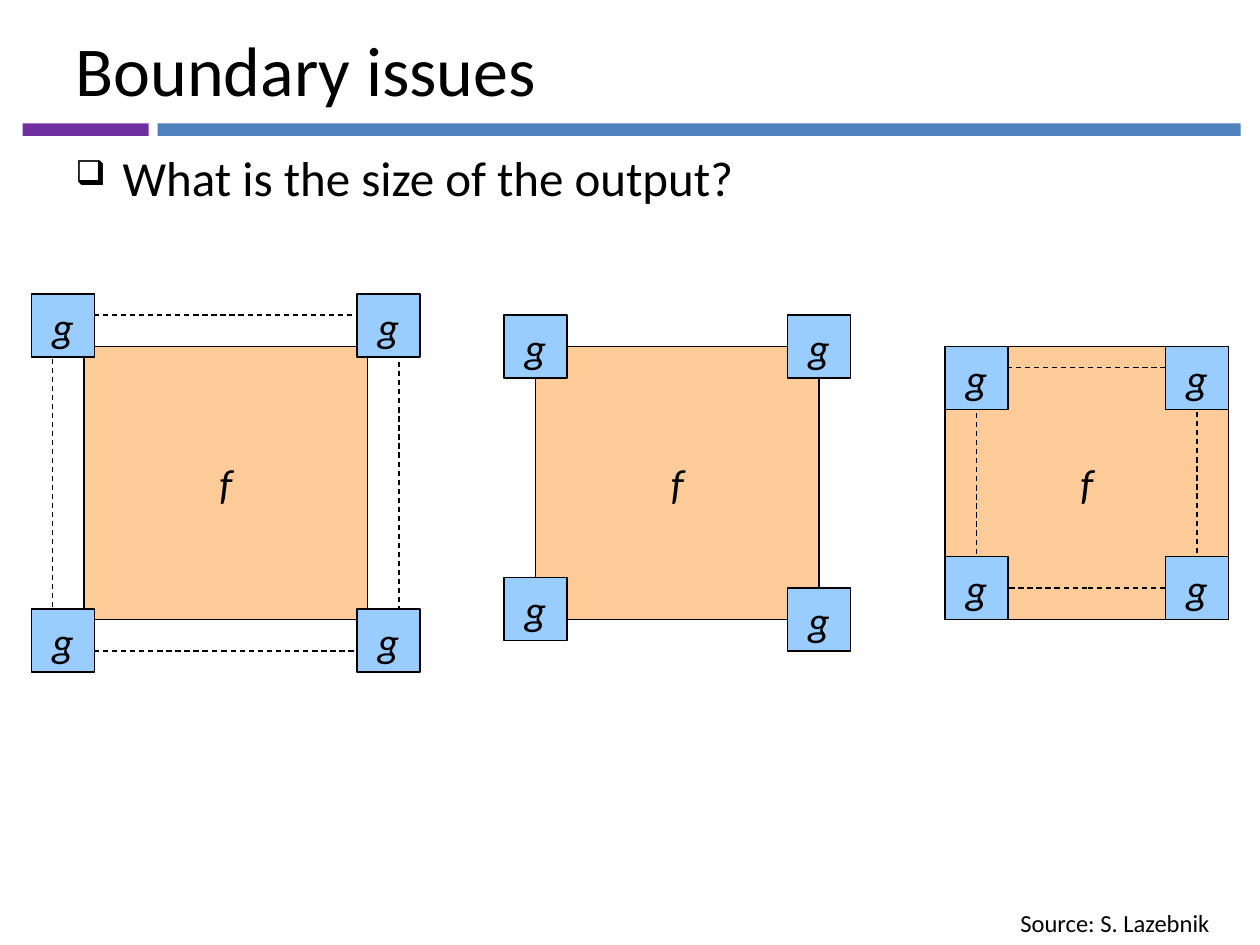
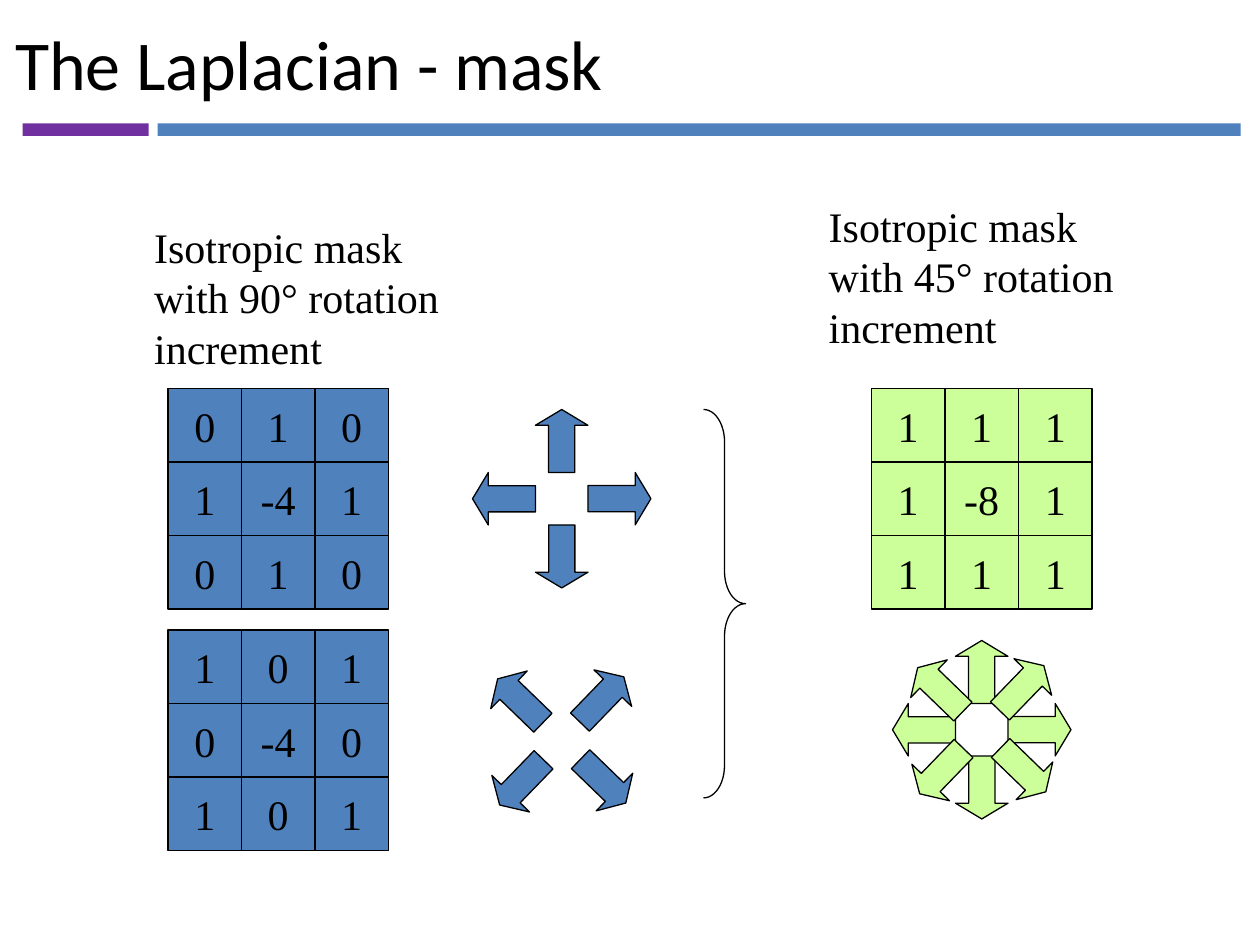
from dataclasses import dataclass
from math import cos, radians, sin

from lxml import etree
from pptx import Presentation
from pptx.dml.color import RGBColor as RGB
from pptx.enum.dml import MSO_LINE
from pptx.enum.shapes import MSO_SHAPE as SHAPE
from pptx.enum.text import MSO_ANCHOR as ANCHOR, MSO_AUTO_SIZE as AUTO, PP_ALIGN as ALIGN
from pptx.oxml.ns import qn
from pptx.util import Pt


@dataclass(frozen=True)
class Theme:
    black: RGB = RGB.from_string("000000")
    white: RGB = RGB.from_string("FFFFFF")
    blue: RGB = RGB.from_string("4F81BD")
    purple: RGB = RGB.from_string("7030A0")
    peach: RGB = RGB.from_string("FFCC99")
    sky: RGB = RGB.from_string("99CCFF")
    lime: RGB = RGB.from_string("CCFF99")
    sans: str = "Calibri"
    serif: str = "Times New Roman"
    title: int = 40
    body: int = 28
    label: int = 24
    small: int = 14
    line: float = 0.75


T = Theme()
F_W, F_H = 162, 156
G_SIZE = 36
CELL = 42
ARROW_W, ARROW_H, ARROW_RADIUS = 36, 30, 33


def write(sp, text, size=T.label, font=T.sans, italic=False, align=ALIGN.LEFT,
          anchor=ANCHOR.TOP, wrap=True, bullet=None, indent=0):
    tf = sp.text_frame
    tf.auto_size, tf.word_wrap, tf.vertical_anchor = AUTO.NONE, wrap, anchor
    p = tf.paragraphs[0]
    p.alignment = align
    if bullet:
        pPr = p._p.get_or_add_pPr()
        pPr.set("marL", str(Pt(indent)))
        pPr.set("indent", str(-Pt(indent)))
        etree.SubElement(pPr, qn("a:buSzPct")).set("val", "70000")
        etree.SubElement(pPr, qn("a:buChar")).set("char", bullet)
    r = p.add_run()
    r.text = text
    r.font.size, r.font.name, r.font.italic = Pt(size), font, italic
    r.font.color.rgb = T.black


def add_text(slide, box, text, **fmt):
    write(slide.shapes.add_textbox(*map(Pt, box)), text, **fmt)


def add_box(shapes, box, fill=None, kind=SHAPE.RECTANGLE, outlined=True, dashed=False):
    sp = shapes.add_shape(kind, *map(Pt, box))
    sp.shadow.inherit = False
    if fill is None:
        sp.fill.background()
    else:
        sp.fill.solid()
        sp.fill.fore_color.rgb = fill
    if outlined:
        sp.line.color.rgb = T.black
        sp.line.width = Pt(T.line)
        if dashed:
            sp.line.dash_style = MSO_LINE.DASH
    else:
        sp.line.fill.background()
    return sp


def add_labelled(shapes, box, fill, text, **fmt):
    write(add_box(shapes, box, fill), text, align=ALIGN.CENTER,
          anchor=ANCHOR.MIDDLE, wrap=False, **fmt)


def new_slide(prs, title, box):
    slide = prs.slides.add_slide(prs.slide_layouts[5])
    for left, width, color in ((90, 619, T.blue), (13, 72, T.purple)):
        add_box(slide.shapes, (left, 70.5, width, 7.2), color, outlined=False)
    sp = slide.shapes.title
    sp.left, sp.top, sp.width, sp.height = map(Pt, box)
    write(sp, title, size=T.title, anchor=ANCHOR.MIDDLE)
    return slide


def add_overlap(slide, left, top, corners, extent=None, extent_behind=False):
    """Image f at left, top with filters g at corner offsets and a dashed output extent."""
    def at(x, y, w, h):
        return left + x, top + y, w, h

    if extent and extent_behind:
        add_box(slide.shapes, at(*extent), T.white, dashed=True)
    add_labelled(slide.shapes, at(0, 0, F_W, F_H), T.peach, "f", italic=True)
    if extent and not extent_behind:
        add_box(slide.shapes, at(*extent), dashed=True)
    for x, y in corners:
        add_labelled(slide.shapes, at(x, y, G_SIZE, G_SIZE), T.sky, "g", italic=True)


def add_mask(slide, left, top, rows, fill):
    group = slide.shapes.add_group_shape()
    for i, row in enumerate(rows):
        for j, value in enumerate(row):
            box = (left + j * CELL, top + i * CELL, CELL, CELL)
            add_labelled(group.shapes, box, fill, str(value), font=T.serif)


def add_arrows(slide, cx, cy, fill, start=0):
    """Four arrows pointing away from cx, cy, a quarter turn apart."""
    group = slide.shapes.add_group_shape()
    for angle in range(0, 360, 90):
        turn = start + angle
        x = cx + ARROW_RADIUS * cos(radians(turn)) - ARROW_W / 2
        y = cy + ARROW_RADIUS * sin(radians(turn)) - ARROW_H / 2
        sp = add_box(group.shapes, (x, y, ARROW_W, ARROW_H), fill, SHAPE.RIGHT_ARROW)
        sp.adjustments[0], sp.adjustments[1] = 0.5, 0.3
        sp.rotation = turn


def boundary_slide(prs):
    slide = new_slide(prs, "Boundary issues", (36, -6, 648, 90))
    add_text(slide, (36, 81, 648, 356), "What is the size of the output?",
             size=T.body, bullet="❑", indent=27)
    top = 198
    full = [(x, y) for y in (-30, 150) for x in (-30, 156)]
    same = [(-18, -18), (144, -18), (-18, 132), (144, 138)]
    valid = [(x, y) for y in (0, F_H - G_SIZE) for x in (0, F_W - G_SIZE)]
    add_overlap(slide, 48, top, full, (-18, -18, 198, 192), extent_behind=True)
    add_overlap(slide, 306, top, same)
    add_overlap(slide, 540, top, valid, (18, 12, 126, 126))
    add_text(slide, (576, 515.5, 148, 24.5), "Source: S. Lazebnik", size=T.small)


def laplacian_slide(prs):
    slide = new_slide(prs, "The Laplacian - mask", (1.4, -0.7, 718.6, 72.7))
    add_mask(slide, 96, 222, [(0, 1, 0), (1, -4, 1), (0, 1, 0)], T.blue)
    add_mask(slide, 96, 360, [(1, 0, 1), (0, -4, 0), (1, 0, 1)], T.blue)
    add_mask(slide, 498, 222, [(1, 1, 1), (1, -8, 1), (1, 1, 1)], T.lime)
    diagonal = 44.1
    add_arrows(slide, 321, 285, T.blue)
    add_arrows(slide, 321, 423.4, T.blue, diagonal)
    brace = add_box(slide.shapes, (402, 234, 24, 222), kind=SHAPE.RIGHT_BRACE)
    brace.adjustments[0], brace.adjustments[1] = 0.77, 0.5
    for start in (0, diagonal):
        add_arrows(slide, 561, 417, T.lime, start)
    for left, top, degrees in ((81, 123, 90), (466.5, 111, 45)):
        add_text(slide, (left, top, 189, 94),
                 f"Isotropic mask with {degrees}° rotation increment", font=T.serif)


def main():
    prs = Presentation()
    prs.slide_width, prs.slide_height = Pt(720), Pt(540)
    boundary_slide(prs)
    laplacian_slide(prs)
    prs.save("out.pptx")


if __name__ == "__main__":
    main()
